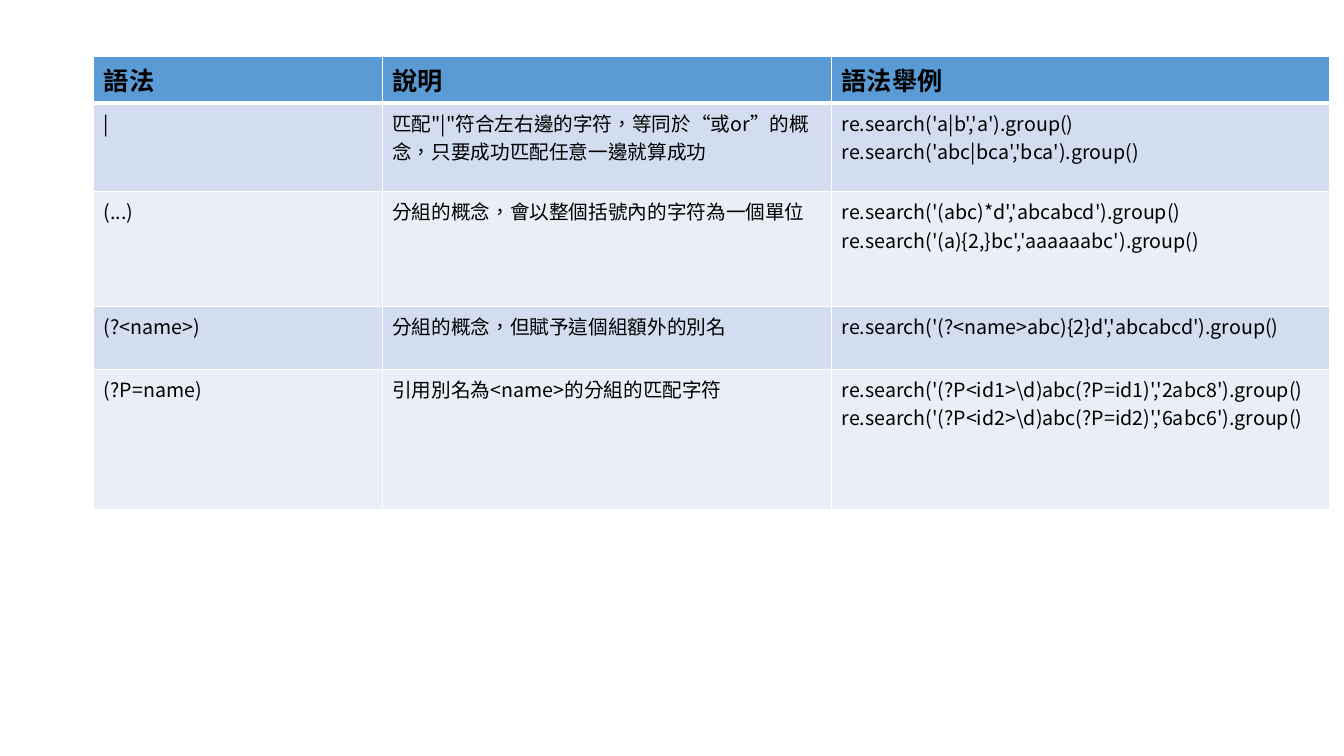
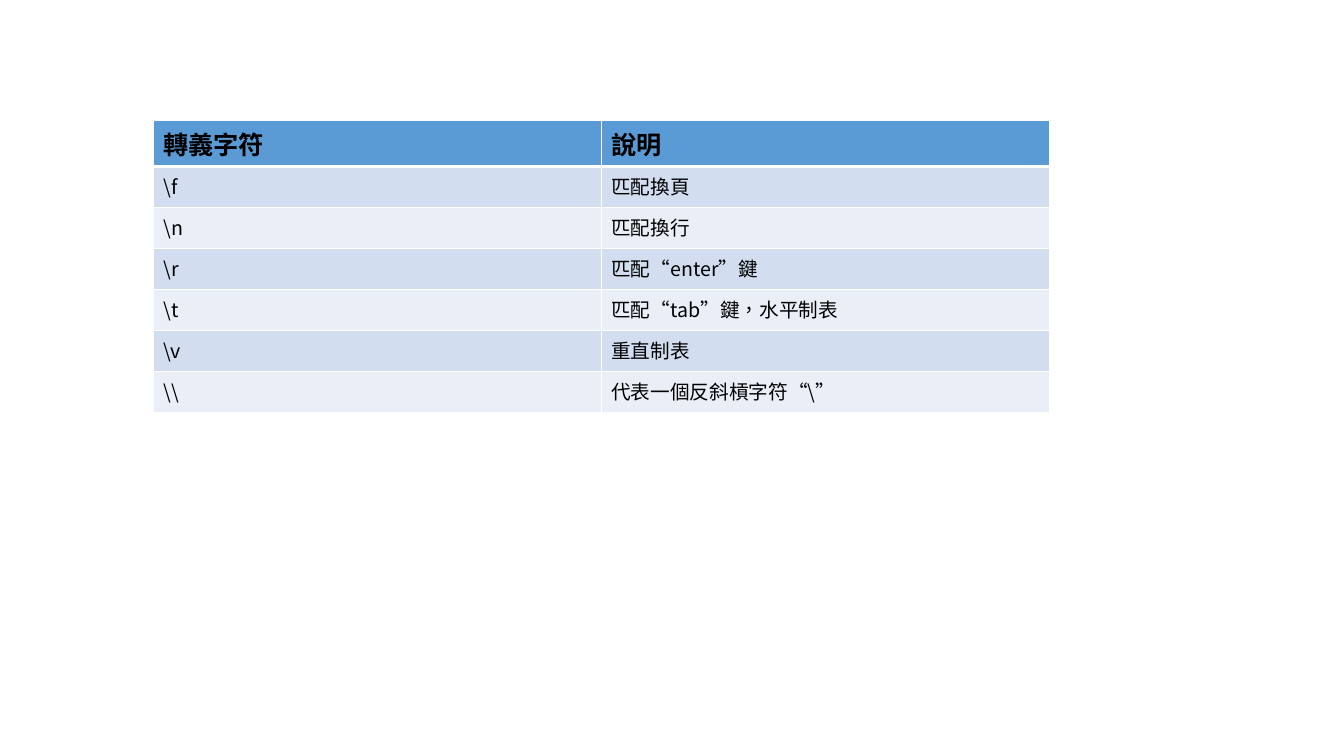
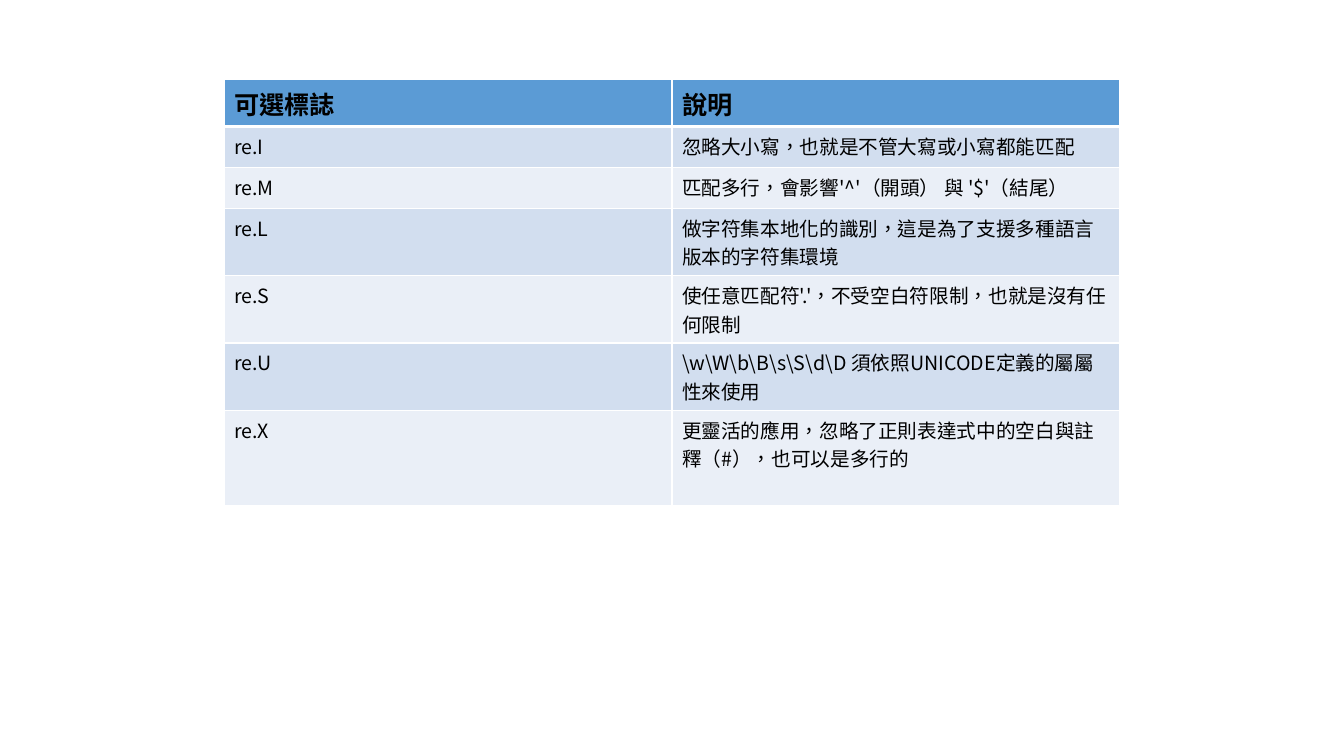
from dataclasses import dataclass

from lxml.etree import SubElement
from pptx import Presentation
from pptx.dml.color import RGBColor
from pptx.enum.lang import MSO_LANGUAGE_ID
from pptx.oxml.ns import qn
from pptx.util import Pt

COLORS = {
    "text": "000000",
    "border": "FFFFFF",
    "header": "5B9BD5",
    "odd_row": "D2DEEF",
    "even_row": "EAEFF7",
}
FONT = "Noto Sans CJK SC"
HEADER_SIZE = 18
BODY_SIZE = 14
THIN_BORDER = 1
HEADER_RULE = 3
HEADER_HEIGHT = 32.6
LINE_HEIGHT = 29.3
TWO_LINE_HEIGHT = 48
HALF_WIDTH = 320


@dataclass(frozen=True)
class SyntaxTable:
    left: float
    top: float
    widths: list[float]
    heights: list[float]
    rows: list[list[str]]


SYNTAX_TABLES = [
    SyntaxTable(
        67, 40.5, [206, 321, 356], [HEADER_HEIGHT, 63.2, 82.1, 44.8, 100],
        [
            ["語法", "說明", "語法舉例"],
            ["|",
             "匹配\"|\"符合左右邊的字符，等同於“或or”的概念，只要成功匹配任意一邊就算成功",
             "re.search('a|b','a').group()\nre.search('abc|bca','bca').group()"],
            ["(...)",
             "分組的概念，會以整個括號內的字符為一個單位",
             "re.search('(abc)*d','abcabcd').group()\nre.search('(a){2,}bc','aaaaaabc').group()"],
            ["(?<name>)",
             "分組的概念，但賦予這個組額外的別名",
             "re.search('(?<name>abc){2}d','abcabcd').group()"],
            ["(?P=name)",
             "引用別名為<name>的分組的匹配字符",
             "re.search('(?P<id1>\\d)abc(?P=id1)','2abc8').group()\n"
             "re.search('(?P<id2>\\d)abc(?P=id2)','6abc6').group()"],
        ],
    ),
    SyntaxTable(
        109.5, 85.7, [HALF_WIDTH] * 2, [HEADER_HEIGHT] + [LINE_HEIGHT] * 6,
        [
            ["轉義字符", "說明"],
            ["\\f", "匹配換頁"],
            ["\\n", "匹配換行"],
            ["\\r", "匹配“enter”鍵"],
            ["\\t", "匹配“tab”鍵，水平制表"],
            ["\\v", "重直制表"],
            ["\\\\", "代表一個反斜槓字符“\\”"],
        ],
    ),
    SyntaxTable(
        160, 57, [HALF_WIDTH] * 2,
        [HEADER_HEIGHT] + [LINE_HEIGHT] * 2 + [TWO_LINE_HEIGHT] * 3 + [68.5],
        [
            ["可選標誌", "說明"],
            ["re.I", "忽略大小寫，也就是不管大寫或小寫都能匹配"],
            ["re.M", "匹配多行，會影響'^'（開頭） 與 '$'（結尾）"],
            ["re.L", "做字符集本地化的識別，這是為了支援多種語言版本的字符集環境"],
            ["re.S", "使任意匹配符'.'，不受空白符限制，也就是沒有任何限制"],
            ["re.U", "\\w\\W\\b\\B\\s\\S\\d\\D 須依照UNICODE定義的屬屬性來使用"],
            ["re.X", "更靈活的應用，忽略了正則表達式中的空白與註釋（#），也可以是多行的"],
        ],
    ),
]


def add_borders(cell, row_index: int) -> None:
    properties = cell._tc.get_or_add_tcPr()
    widths = {
        "a:lnL": THIN_BORDER,
        "a:lnR": THIN_BORDER,
        "a:lnT": HEADER_RULE if row_index == 1 else THIN_BORDER,
        "a:lnB": HEADER_RULE if row_index == 0 else THIN_BORDER,
    }
    for side, width in widths.items():
        border = SubElement(properties, qn(side), w=str(Pt(width)))
        SubElement(SubElement(border, qn("a:solidFill")), qn("a:srgbClr"), val=COLORS["border"])


def write_cell(cell, content: str, is_header: bool) -> None:
    for index, line in enumerate(content.split("\n")):
        frame = cell.text_frame
        paragraph = frame.add_paragraph() if index else frame.paragraphs[0]
        run = paragraph.add_run()
        run.text = line
        font = run.font
        font.name = FONT
        font.size = Pt(HEADER_SIZE if is_header else BODY_SIZE)
        font.bold = is_header
        font.color.rgb = RGBColor.from_string(COLORS["text"])
        font.language_id = MSO_LANGUAGE_ID.TRADITIONAL_CHINESE
        SubElement(run._r.get_or_add_rPr(), qn("a:ea"), typeface=FONT)


def row_color(row_index: int) -> str:
    if row_index == 0:
        return COLORS["header"]
    return COLORS["odd_row" if row_index % 2 else "even_row"]


def draw_table(slide, syntax: SyntaxTable) -> None:
    table = slide.shapes.add_table(
        len(syntax.rows), len(syntax.widths), Pt(syntax.left), Pt(syntax.top),
        Pt(sum(syntax.widths)), Pt(sum(syntax.heights)),
    ).table
    for column, width in zip(table.columns, syntax.widths):
        column.width = Pt(width)
    for row_index, contents in enumerate(syntax.rows):
        table.rows[row_index].height = Pt(syntax.heights[row_index])
        for column_index, content in enumerate(contents):
            cell = table.cell(row_index, column_index)
            add_borders(cell, row_index)
            cell.fill.solid()
            cell.fill.fore_color.rgb = RGBColor.from_string(row_color(row_index))
            write_cell(cell, content, row_index == 0)


def main() -> None:
    presentation = Presentation()
    presentation.slide_width = Pt(960)
    presentation.slide_height = Pt(540)
    for syntax in SYNTAX_TABLES:
        draw_table(presentation.slides.add_slide(presentation.slide_layouts[6]), syntax)
    presentation.save("out.pptx")


if __name__ == "__main__":
    main()
